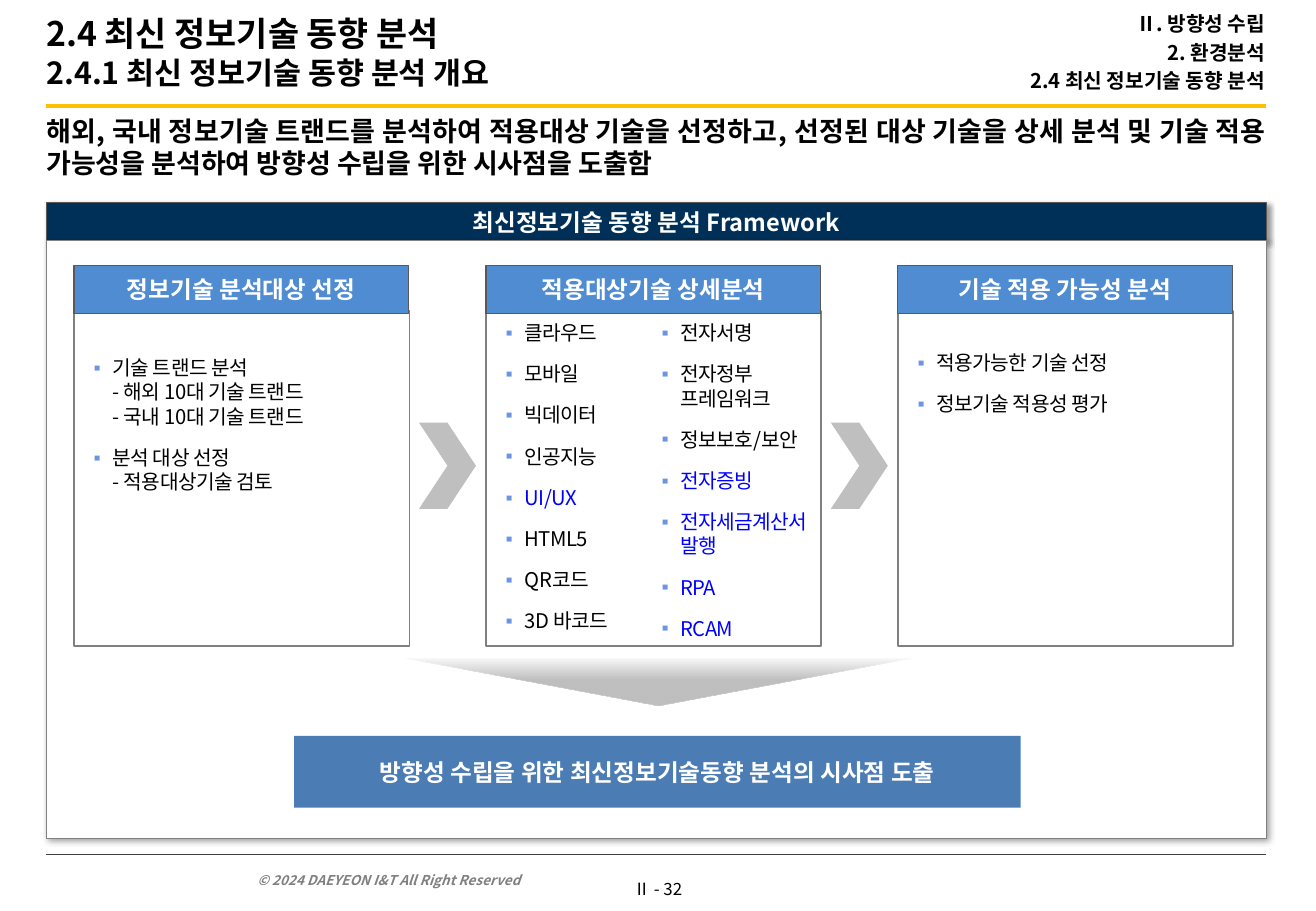
from dataclasses import dataclass

from lxml import etree
from pptx import Presentation
from pptx import oxml
from pptx import util as u
from pptx.dml.color import RGBColor
from pptx.enum import shapes, text
from pptx.oxml import ns


@dataclass(frozen=True)
class Theme:
    face: str = "Noto Sans CJK KR"
    black: str = "000000"
    white: str = "FFFFFF"
    navy: str = "003058"
    blue: str = "508CD2"
    steel: str = "4B7DB4"
    link: str = "0000FF"
    mark: str = "6B94E2"
    gold: str = "FFC000"
    edge: str = "808080"
    dark: str = "595959"
    rule: str = "404040"
    pale: str = "BFBFBF"
    title: int = 20
    sub: int = 18
    lead: int = 16
    head: int = 14
    body: int = 12
    page: int = 10
    foot: int = 8


T = Theme()
A = ns.nsdecls("a")
KIND = shapes.MSO_SHAPE
LEFT, MID, RIGHT, JUST = (text.PP_ALIGN.LEFT, text.PP_ALIGN.CENTER,
                          text.PP_ALIGN.RIGHT, text.PP_ALIGN.JUSTIFY)
TOP, CENTER, LOW = (text.MSO_ANCHOR.TOP, text.MSO_ANCHOR.MIDDLE,
                    text.MSO_ANCHOR.BOTTOM)

deck = Presentation()
deck.slide_width, deck.slide_height = u.Cm(27.51), u.Cm(19.05)
slide = deck.slides.add_slide(deck.slide_layouts[6])


def write(shape, lines, size=T.body, color=T.black, bold=False, italic=False,
          align=LEFT, anchor=CENTER, pad=(0.25, 0.13, 0.25, 0.13), gap=0,
          bullet=False, blue=(), wrap=True):
    """Fill a shape with one paragraph a line; pad is left, top, right, bottom in cm."""
    frame = shape.text_frame
    frame.word_wrap, frame.vertical_anchor = wrap, anchor
    (frame.margin_left, frame.margin_top,
     frame.margin_right, frame.margin_bottom) = map(u.Cm, pad)
    for i, line in enumerate(lines):
        para = frame.add_paragraph() if i else frame.paragraphs[0]
        para.text, para.alignment = line, align
        if i:
            para.space_before = u.Pt(gap)
        if bullet:
            props = para._p.get_or_add_pPr()
            props.set("marL", str(u.Cm(0.51)))
            props.set("indent", str(u.Cm(-0.51)))
            for xml in (f'<a:buClr {A}><a:srgbClr val="{T.mark}"/></a:buClr>',
                        f'<a:buSzPct {A} val="90000"/>',
                        f'<a:buFont {A} typeface="{T.face}"/>',
                        f'<a:buChar {A} char="▪"/>'):
                props.append(oxml.parse_xml(xml))
        for run in para.runs:
            font = run.font
            font.size, font.bold, font.italic = u.Pt(size), bold, italic
            font.name = T.face
            font.color.rgb = RGBColor.from_string(T.link if line in blue else color)
            east = etree.SubElement(run._r.rPr, ns.qn("a:ea"))
            east.set("typeface", T.face)
            if bullet:
                run._r.rPr.set("spc", "-30")
    return shape


def draw(kind, x, y, w, h, fill, edge=None, width=0.5, shade=False):
    """Add a preset shape, or a plain text box when kind is None."""
    place = [u.Cm(v) for v in (x, y, w, h)]
    if kind is None:
        return slide.shapes.add_textbox(*place)
    shape = slide.shapes.add_shape(kind, *place)
    shape.shadow.inherit = False
    shape.fill.solid()
    shape.fill.fore_color.rgb = RGBColor.from_string(fill)
    if edge:
        shape.line.color.rgb = RGBColor.from_string(edge)
        shape.line.width = u.Pt(width)
    else:
        shape.line.fill.background()
    if shade:
        shape._element.spPr.find(ns.qn("a:effectLst")).append(oxml.parse_xml(
            f'<a:outerShdw {A} blurRad="{u.Pt(3)}" dist="{u.Pt(2)}" dir="2700000" '
            'algn="tl" rotWithShape="0"><a:srgbClr val="000000">'
            '<a:alpha val="40000"/></a:srgbClr></a:outerShdw>'))
    return shape


# Rules and footer
edge, span = 0.97, 25.5
for y, color, width in ((2.21, T.gold, 2.5), (17.86, T.rule, 0.5)):
    rule = slide.shapes.add_connector(shapes.MSO_CONNECTOR.STRAIGHT, u.Cm(edge),
                                      u.Cm(y), u.Cm(edge + span), u.Cm(y))
    rule.line.color.rgb = RGBColor.from_string(color)
    rule.line.width = u.Pt(width)
    etree.SubElement(rule._element.spPr, ns.qn("a:effectLst"))
write(draw(None, 5.13, 18.01, 7.67, 0.69, None),
      ["© 2024 DAEYEON I&T All Right Reserved"],
      size=T.foot, color=T.edge, bold=True, italic=True, anchor=LOW)
write(draw(None, 13, 18.24, 1.5, 0.69, None), ["Ⅱ - 32"], size=T.page,
      align=MID, anchor=TOP, pad=(0.15, 0.13, 0.15, 0.13), wrap=False)

# Titles
title = write(draw(None, edge, 0, 23.01, 2.16, None),
              ["2.4 최신 정보기술 동향 분석", "2.4.1 최신 정보기술 동향 분석 개요"],
              size=T.title, bold=True, pad=(0, 0.13, 0.25, 0.13))
title.text_frame.paragraphs[1].runs[0].font.size = u.Pt(T.sub)
write(draw(None, 17.45, 0, 9, 2.18, None),
      ["Ⅱ. 방향성 수립", "2. 환경분석", "2.4 최신 정보기술 동향 분석"],
      bold=True, align=RIGHT, pad=(0, 0.13, 0, 0.13), gap=2.4)
write(draw(None, edge, 2.39, span, 1.73, None),
      ["해외, 국내 정보기술 트랜드를 분석하여 적용대상 기술을 선정하고, 선정된 대상 기술을 "
       "상세 분석 및 기술 적용 가능성을 분석하여 방향성 수립을 위한 시사점을 도출함"],
      size=T.lead, bold=True, align=JUST, anchor=TOP, pad=(0, 0, 0, 0))

# Framework panel
write(draw(KIND.RECTANGLE, edge, 4.24, span, 0.79, T.navy, T.dark, shade=True),
      ["최신정보기술 동향 분석 Framework"],
      size=T.head, color=T.white, bold=True, align=MID)
draw(KIND.RECTANGLE, edge, 5.03, span, 12.5, T.white, T.edge, shade=True)
write(draw(KIND.RECTANGLE, 6.15, 15.39, 15.19, 1.5, T.steel),
      ["방향성 수립을 위한 최신정보기술동향 분석의 시사점 도출"],
      size=T.head, color=T.white, bold=True, align=MID)

# Fading arrow
arrow = draw(KIND.ISOSCELES_TRIANGLE, 8.46, 13.77, 10.62, 0.99, T.pale)
arrow.rotation = 180
solid = arrow._element.spPr.find(ns.qn("a:solidFill"))
stops = "".join(f'<a:gs pos="{pos}000"><a:srgbClr val="{T.pale}">'
                f'<a:alpha val="{alpha}000"/></a:srgbClr></a:gs>'
                for pos, alpha in ((0, 100), (55, 100), (100, 10)))
solid.getparent().replace(solid, oxml.parse_xml(
    f'<a:gradFill {A} rotWithShape="1"><a:gsLst>{stops}</a:gsLst>'
    '<a:lin ang="5400000" scaled="0"/></a:gradFill>'))

# Three steps: heading, items, top padding, columns
steps = [
    ("정보기술 분석대상 선정",
     ["기술 트랜드 분석\v- 해외 10대 기술 트랜드\v- 국내 10대 기술 트랜드",
      "분석 대상 선정\v- 적용대상기술 검토"], 0.93, 1),
    ("적용대상기술 상세분석",
     ["클라우드", "모바일", "빅데이터", "인공지능", "UI/UX", "HTML5", "QR코드",
      "3D 바코드", "전자서명", "전자정부\v프레임워크", "정보보호/보안", "전자증빙",
      "전자세금계산서 발행", "RPA", "RCAM"], 0.2, 2),
    ("기술 적용 가능성 분석",
     ["적용가능한 기술 선정", "정보기술 적용성 평가"], 0.83, 1),
]
fresh = {"UI/UX", "전자증빙", "전자세금계산서 발행", "RPA", "RCAM"}
start, pitch = 1.55, 8.61
for i, (head, items, top, cols) in enumerate(steps):
    x = start + i * pitch
    card = write(draw(KIND.RECTANGLE, x, 6.5, 7.01, 7.01, T.white, T.edge, 1),
                 items, anchor=TOP, pad=(0.3, top, 0.2, 0.1), gap=10,
                 bullet=True, blue=fresh)
    if cols > 1:
        card.text_frame._txBody.bodyPr.set("numCol", str(cols))
    write(draw(KIND.RECTANGLE, x, 5.56, 6.99, 0.99, T.blue, T.dark, 0.75),
          [head], size=T.head, color=T.white, bold=True, align=MID)
    if i:
        draw(KIND.CHEVRON, x - 1.4, 8.84, 1.19, 1.8, T.pale)

deck.save("out.pptx")
